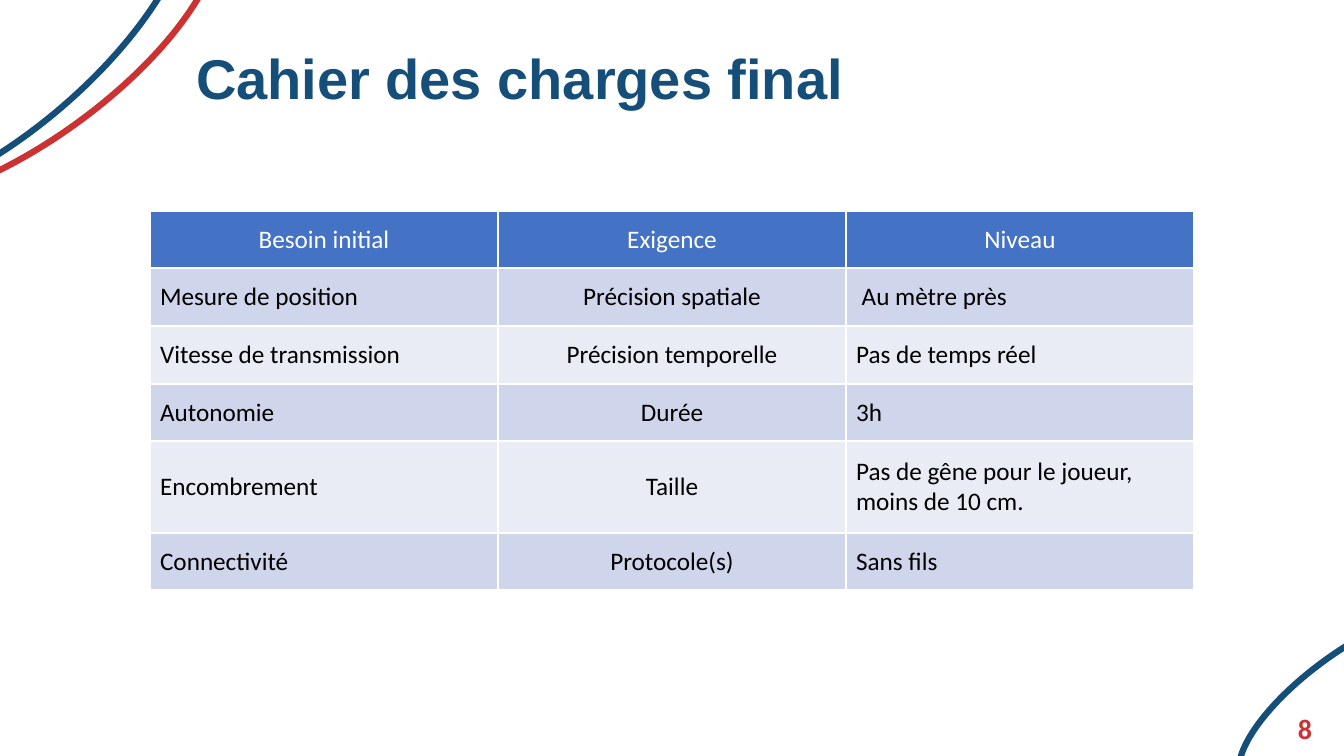
"""Build the final requirements slide."""
from pptx import Presentation
from pptx.dml.color import RGBColor
from pptx.enum.shapes import MSO_SHAPE as Shape
from pptx.enum.text import MSO_ANCHOR as Anchor, PP_ALIGN as Align
from pptx.util import Pt

NAVY = RGBColor(0x15, 0x4E, 0x79)
RED = RGBColor(0xCC, 0x32, 0x32)
BLUE = RGBColor(0x44, 0x72, 0xC4)
BAND_DARK = RGBColor(0xCF, 0xD5, 0xEA)
BAND_LIGHT = RGBColor(0xE9, 0xEB, 0xF5)
WHITE = RGBColor(0xFF, 0xFF, 0xFF)
BLACK = RGBColor(0x00, 0x00, 0x00)

TITLE = "Cahier des charges final"
PAGE_NUMBER = "8"
REQUIREMENTS = [
    ("Besoin initial", "Exigence", "Niveau"),
    ("Mesure de position", "Précision spatiale", " Au mètre près"),
    ("Vitesse de transmission", "Précision temporelle", "Pas de temps réel"),
    ("Autonomie", "Durée", "3h"),
    ("Encombrement", "Taille", "Pas de gêne pour le joueur, moins de 10 cm."),
    ("Connectivité", "Protocole(s)", "Sans fils"),
]
ROW_HEIGHTS = (57, 58, 58, 57, 92, 57)
COLUMN_WIDTH = 348
TABLE_LEFT, TABLE_TOP = 150, 211
TITLE_AREA = (186, 38, 988, 78)
NUMBER_AREA = (1272, 701, 66, 55)
ARCS = [
    ((-81, -195, 197, 479), 54.3, RED),
    ((-101, -207, 197, 479), 49.4, NAVY),
    ((1308, 554, 111, 294), 235.4, NAVY),
]
SLIDE_WIDTH, SLIDE_HEIGHT = 1344, 756
EMU_PER_PX = 12192000 / SLIDE_WIDTH


def px(*lengths):
    """Turn pixel lengths into a list of EMU lengths."""
    return [round(length * EMU_PER_PX) for length in lengths]


def write(frame, text, size, color, font="Calibri", bold=False, align=Align.LEFT):
    """Put one formatted paragraph into a text frame."""
    frame.word_wrap = True
    para = frame.paragraphs[0]
    para.alignment = align
    span = para.add_run()
    span.text = text
    span.font.size = Pt(size)
    span.font.name = font
    span.font.bold = bold
    span.font.color.rgb = color


def add_arc(page, area, angle, color):
    """Draw one rotated outline in a corner."""
    arc = page.shapes.add_shape(Shape.FLOWCHART_DELAY, *px(*area))
    arc.rotation = angle
    arc.shadow.inherit = False
    arc.fill.background()
    arc.line.color.rgb = color
    arc.line.width = Pt(4.5)


def add_requirements(page):
    """Add the table with a header row and alternating bands."""
    area = px(TABLE_LEFT, TABLE_TOP, COLUMN_WIDTH * len(REQUIREMENTS[0]), sum(ROW_HEIGHTS))
    table = page.shapes.add_table(len(REQUIREMENTS), len(REQUIREMENTS[0]), *area).table
    for column in table.columns:
        column.width = px(COLUMN_WIDTH)[0]
    for i, (height, texts) in enumerate(zip(ROW_HEIGHTS, REQUIREMENTS)):
        table.rows[i].height = px(height)[0]
        header = i == 0
        band = BLUE if header else BAND_DARK if i % 2 else BAND_LIGHT
        for j, text in enumerate(texts):
            cell = table.cell(i, j)
            cell.fill.solid()
            cell.fill.fore_color.rgb = band
            cell.vertical_anchor = Anchor.MIDDLE
            write(cell.text_frame, text, 18, WHITE if header else BLACK,
                  align=Align.CENTER if header or j == 1 else Align.LEFT)


def main():
    """Assemble and save the deck."""
    deck = Presentation()
    deck.slide_width, deck.slide_height = px(SLIDE_WIDTH, SLIDE_HEIGHT)
    page = deck.slides.add_slide(deck.slide_layouts[5])

    title = page.shapes.title
    title.left, title.top, title.width, title.height = px(*TITLE_AREA)
    title.text_frame.vertical_anchor = Anchor.TOP
    write(title.text_frame, TITLE, 40, NAVY, font="Arial", bold=True)

    for area, angle, color in ARCS:
        add_arc(page, area, angle, color)
    add_requirements(page)

    number_box = page.shapes.add_textbox(*px(*NUMBER_AREA))
    number_box.text_frame.vertical_anchor = Anchor.MIDDLE
    write(number_box.text_frame, PAGE_NUMBER, 20, RED, bold=True, align=Align.CENTER)

    deck.save("out.pptx")


if __name__ == "__main__":
    main()
